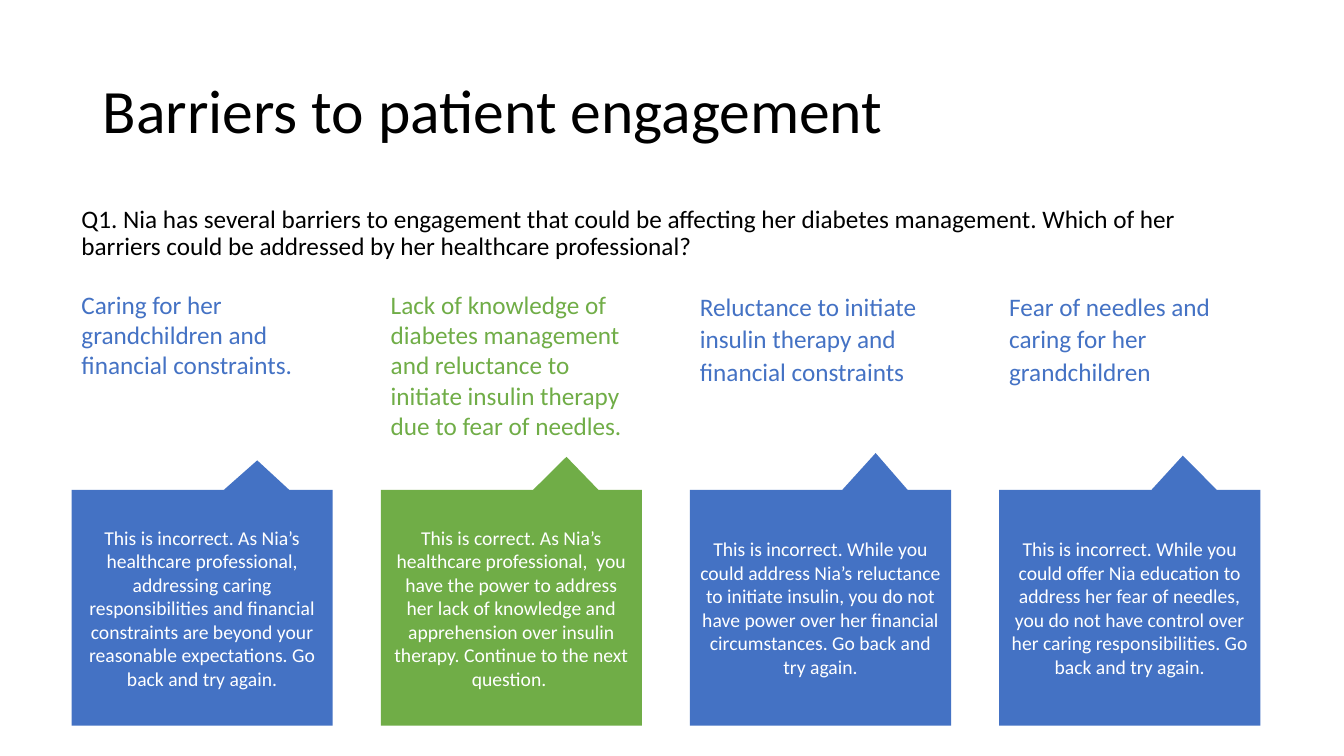
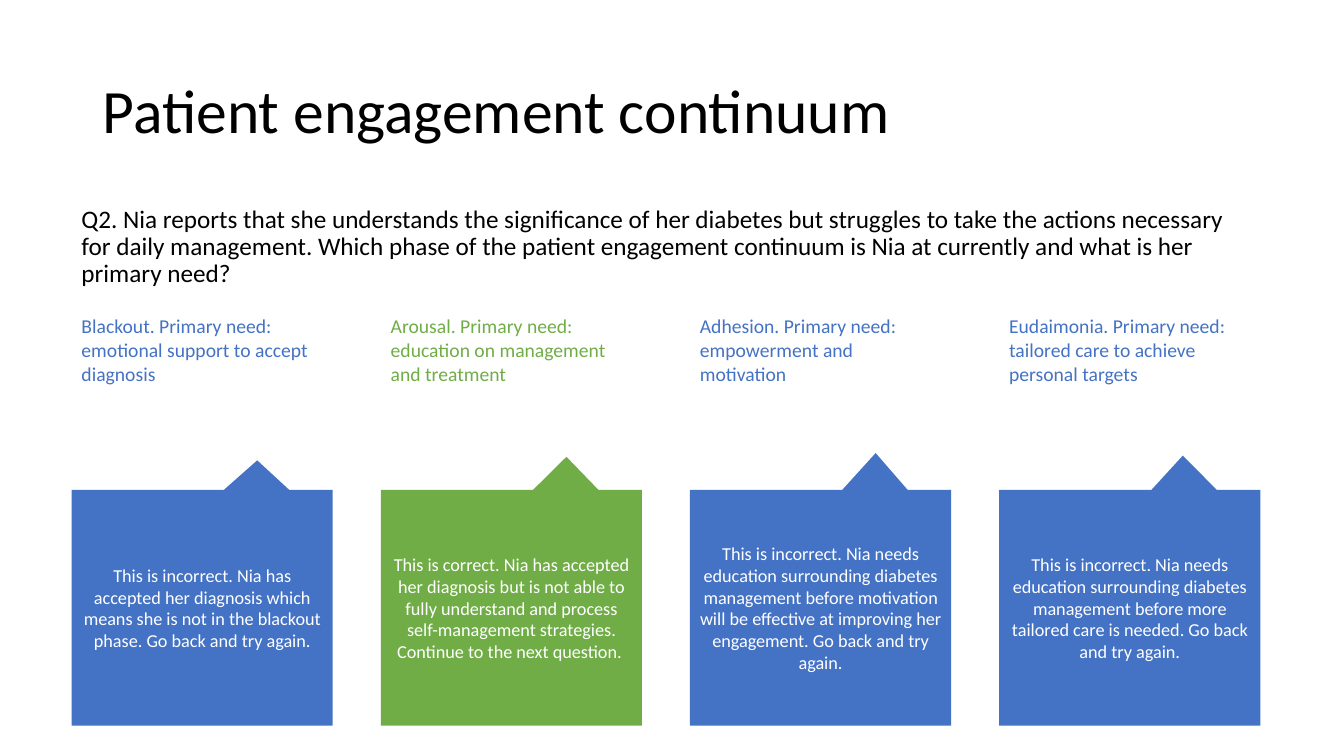
import pptx
import pptx.dml.color
import pptx.enum.shapes
import pptx.enum.text
import pptx.util

Inches = pptx.util.Inches
Anchor = pptx.enum.text.MSO_ANCHOR
Align = pptx.enum.text.PP_ALIGN

COLORS = {"text": "000000", "wrong": "4472C4", "right": "70AD47", "reverse": "FFFFFF"}
FONT = "Calibri"
LEFT = 0.71
COLUMN_WIDTH = 2.59
COLUMN_PITCH = 9.2 / 3
CORRECT_COLUMN = 1
POINTERS = [(0.211, -0.625), (0.211, -0.64), (0.211, -0.656), (0.203, -0.645)]

QUIZ = [
    {
        "title": "Barriers to patient engagement",
        "question": "Q1. Nia has several barriers to engagement that could be affecting her diabetes "
                    "management. Which of her barriers could be addressed by her healthcare professional?",
        "question_height": 0.76,
        "answer_top": 2.82,
        "answer_size": 18,
        "feedback_size": 14,
        "columns": [
            ("Caring for her grandchildren and financial constraints.", 1,
             "This is incorrect. As Nia’s healthcare professional, addressing caring responsibilities and "
             "financial constraints are beyond your reasonable expectations. Go back and try again."),
            ("Lack of knowledge of diabetes management and reluctance to initiate insulin therapy "
             "due to fear of needles.", 1,
             "This is correct. As Nia’s healthcare professional,  you have the power to address her lack of "
             "knowledge and apprehension over insulin therapy. Continue to the next question. "),
            ("Reluctance to initiate insulin therapy and financial constraints", 1.07,
             "This is incorrect. While you could address Nia’s reluctance to initiate insulin, you do not "
             "have power over her financial circumstances. Go back and try again."),
            ("Fear of needles and caring for her grandchildren", 1.07,
             "This is incorrect. While you could offer Nia education to address her fear of needles, you do "
             "not have control over her caring responsibilities. Go back and try again."),
        ],
    },
    {
        "title": "Patient engagement continuum",
        "question": "Q2. Nia reports that she understands the significance of her diabetes but struggles to "
                    "take the actions necessary for daily management. Which phase of the patient engagement "
                    "continuum is Nia at currently and what is her primary need?",
        "question_height": 0.96,
        "answer_top": 3.07,
        "answer_size": 14,
        "feedback_size": 13,
        "columns": [
            ("Blackout. Primary need: emotional support to accept diagnosis", 1,
             "This is incorrect. Nia has accepted her diagnosis which means she is not in the blackout "
             "phase. Go back and try again."),
            ("Arousal. Primary need: education on management and treatment", 1,
             "This is correct. Nia has accepted her diagnosis but is not able to fully understand and "
             "process self-management strategies. Continue to the next question. "),
            ("Adhesion. Primary need: empowerment and motivation", 1,
             "This is incorrect. Nia needs education surrounding diabetes management before motivation "
             "will be effective at improving her engagement. Go back and try again."),
            ("Eudaimonia. Primary need: tailored care to achieve personal targets", 1,
             "This is incorrect. Nia needs education surrounding diabetes management before more tailored "
             "care is needed. Go back and try again."),
        ],
    },
]


def rgb(name):
    """Return the named colour."""
    return pptx.dml.color.RGBColor.from_string(COLORS[name])


def write(shape, text, size, color, anchor=Anchor.TOP, align=Align.LEFT, line_spacing=1):
    """Fill a shape with one styled paragraph and return the paragraph."""
    frame = shape.text_frame
    frame.word_wrap = True
    frame.vertical_anchor = anchor
    paragraph = frame.paragraphs[0]
    paragraph.text = text
    paragraph.alignment = align
    paragraph.line_spacing = line_spacing
    paragraph.font.name = FONT
    paragraph.font.size = pptx.util.Pt(size)
    paragraph.font.color.rgb = rgb(color)
    return paragraph


def add_text(slide, box, text, size, color, **style):
    """Add a text box at left, top, width, height in inches."""
    return write(slide.shapes.add_textbox(*map(Inches, box)), text, size, color, **style)


def add_title(slide, box, text):
    """Add the slide title."""
    add_text(slide, box, text, 44, "text", anchor=Anchor.MIDDLE, line_spacing=0.9)


def add_question(slide, box, text):
    """Add the quiz question."""
    paragraph = add_text(slide, box, text, 18, "text", line_spacing=0.9)
    paragraph.space_before = pptx.util.Pt(10)


def add_feedback(slide, box, text, size, color, pointer):
    """Add a callout whose tip points up at its answer."""
    callout = slide.shapes.add_shape(
        pptx.enum.shapes.MSO_SHAPE.RECTANGULAR_CALLOUT, *map(Inches, box))
    callout.adjustments[0], callout.adjustments[1] = pointer
    callout.shadow.inherit = False
    callout.fill.solid()
    callout.fill.fore_color.rgb = rgb(color)
    callout.line.fill.background()
    write(callout, text, size, "reverse", anchor=Anchor.MIDDLE, align=Align.CENTER)


def add_quiz_slide(presentation, quiz):
    """Add a question slide with four answers and their feedback."""
    slide = presentation.slides.add_slide(presentation.slide_layouts[6])
    add_title(slide, (0.92, 0.4, 11.5, 1.45), quiz["title"])
    add_question(slide, (LEFT, 2, 11.7, quiz["question_height"]), quiz["question"])
    for index, (answer, line_spacing, feedback) in enumerate(quiz["columns"]):
        left = LEFT + index * COLUMN_PITCH
        color = "right" if index == CORRECT_COLUMN else "wrong"
        add_text(slide, (left, quiz["answer_top"], COLUMN_WIDTH, 1.06), answer,
                 quiz["answer_size"], color, line_spacing=line_spacing)
        add_feedback(slide, (left, 4.86, COLUMN_WIDTH, 2.34), feedback,
                     quiz["feedback_size"], color, POINTERS[index])


def main():
    """Build and save the presentation."""
    presentation = pptx.Presentation()
    presentation.slide_width = Inches(13.33)
    presentation.slide_height = Inches(7.5)
    for quiz in QUIZ:
        add_quiz_slide(presentation, quiz)
    presentation.save("out.pptx")


if __name__ == "__main__":
    main()
